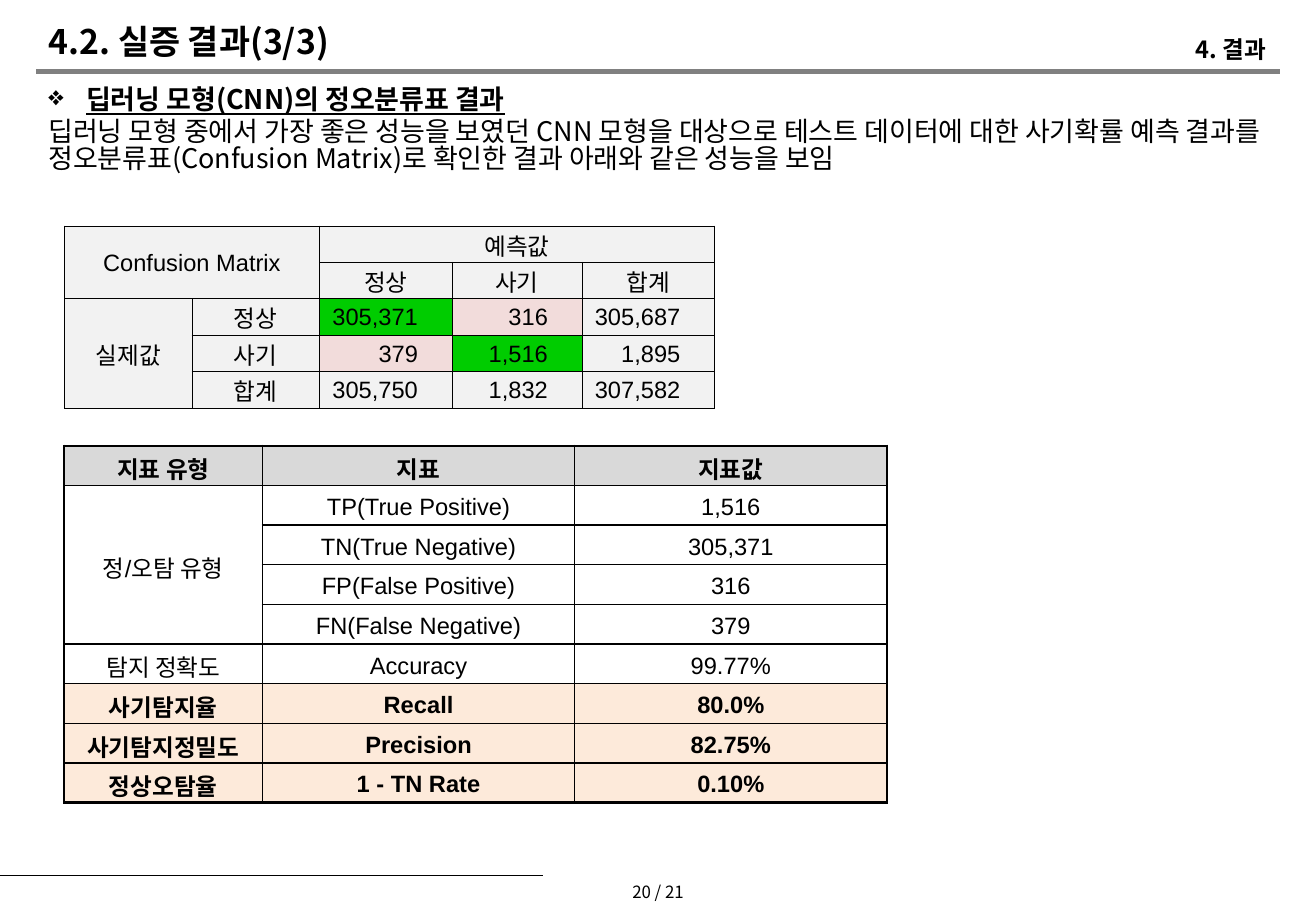
from dataclasses import dataclass

from lxml.etree import SubElement
from pptx import Presentation
from pptx.dml.color import RGBColor
from pptx.enum.shapes import MSO_CONNECTOR
from pptx.enum.text import MSO_ANCHOR, PP_ALIGN
from pptx.oxml import parse_xml
from pptx.oxml.ns import nsdecls, qn
from pptx.util import Inches, Pt


@dataclass(frozen=True)
class Theme:
    ink: str = "000000"
    rule: str = "808080"
    label: str = "F2F2F2"
    correct: str = "00CC00"
    wrong: str = "F2DCDB"
    header: str = "D9D9D9"
    highlight: str = "FDEADA"
    korean: str = "Noto Sans CJK KR"
    latin: str = "Arial"
    title: int = 20
    body: int = 16
    cell: int = 14
    page: int = 10
    leading: float = 0.82


THEME = Theme()

MATRIX_COLUMNS = [1.05, 1.05, 1.09, 1.07, 1.09]
MATRIX_MERGES = [(0, 0, 1, 1), (0, 2, 0, 4), (2, 0, 4, 0)]
MATRIX = [
    ["Confusion Matrix", "", "예측값", "", ""],
    ["", "", "정상", "사기", "합계"],
    ["실제값", "정상", "305,371", "316", "305,687"],
    ["", "사기", "379", "1,516", "1,895"],
    ["", "합계", "305,750", "1,832", "307,582"],
]
MATRIX_FILLS = {
    (2, 2): THEME.correct, (3, 3): THEME.correct,
    (2, 3): THEME.wrong, (3, 2): THEME.wrong,
}

METRIC_COLUMNS = [1.63, 2.57, 2.57]
METRICS = [
    ["지표 유형", "지표", "지표값"],
    ["정/오탐 유형", "TP(True Positive)", "1,516"],
    ["", "TN(True Negative)", "305,371"],
    ["", "FP(False Positive)", "316"],
    ["", "FN(False Negative)", "379"],
    ["탐지 정확도", "Accuracy", "99.77%"],
    ["사기탐지율", "Recall", "80.0%"],
    ["사기탐지정밀도", "Precision", "82.75%"],
    ["정상오탐율", "1 - TN Rate", "0.10%"],
]
FIRST_HIGHLIGHT = 6


def write(paragraph, text, size, latin=THEME.korean, bold=False, underline=False,
          align=PP_ALIGN.LEFT, leading=THEME.leading, before=0, bullet=None):
    paragraph.alignment = align
    paragraph.line_spacing = leading
    paragraph.space_before = Pt(before)
    if bullet:
        properties = paragraph._p.get_or_add_pPr()
        properties.set("marL", str(Inches(0.31)))
        properties.set("indent", str(Inches(-0.31)))
        SubElement(properties, qn("a:buChar")).set("char", bullet)
    run = paragraph.add_run()
    run.text = text
    font = run.font
    font.size, font.name = Pt(size), latin
    font.bold, font.underline = bold, underline
    font.color.rgb = RGBColor.from_string(THEME.ink)
    SubElement(run._r.get_or_add_rPr(), qn("a:ea")).set("typeface", THEME.korean)


def add_text_frame(slide, box, wrap=True):
    frame = slide.shapes.add_textbox(*map(Inches, box)).text_frame
    frame.word_wrap = wrap
    return frame


def add_rule(slide, left, top, width, color, weight):
    rule = slide.shapes.add_connector(
        MSO_CONNECTOR.STRAIGHT, Inches(left), Inches(top), Inches(left + width), Inches(top))
    rule.line.color.rgb = RGBColor.from_string(color)
    rule.line.width = Pt(weight)
    SubElement(rule._element.spPr, qn("a:effectLst"))


def set_borders(cell, weights):
    properties = cell._tc.get_or_add_tcPr()
    for index, (side, weight) in enumerate(zip("LRTB", weights)):
        properties.insert(index, parse_xml(
            f'<a:ln{side} {nsdecls("a")} w="{Pt(weight)}"><a:solidFill>'
            f'<a:srgbClr val="{THEME.ink}"/></a:solidFill></a:ln{side}>'))


def add_grid(slide, box, rows, columns, merges, format_cell):
    left, top, width, height = map(Inches, box)
    table = slide.shapes.add_table(
        len(rows), len(columns), left, top, width, height).table
    table.first_row = table.horz_banding = False
    for column, column_width in zip(table.columns, columns):
        column.width = Inches(column_width)
    for r, row in enumerate(rows):
        for c, text in enumerate(row):
            cell = table.cell(r, c)
            cell.vertical_anchor = MSO_ANCHOR.MIDDLE
            cell.margin_top = cell.margin_bottom = 0
            format_cell(cell, r, c, text)
    for r1, c1, r2, c2 in merges:
        table.cell(r1, c1).merge(table.cell(r2, c2))


def format_matrix_cell(cell, r, c, text):
    is_count = r >= 2 and c >= 2
    cell.margin_left = cell.margin_top = Inches(0.01)
    cell.margin_right = Inches(0.28 if is_count else 0.01)
    cell.fill.solid()
    cell.fill.fore_color.rgb = RGBColor.from_string(MATRIX_FILLS.get((r, c), THEME.label))
    set_borders(cell, [0.5] * 4)
    if text:
        write(cell.text_frame.paragraphs[0], text, THEME.cell, latin=THEME.latin, leading=1.0,
              align=PP_ALIGN.RIGHT if is_count else PP_ALIGN.CENTER)


def format_metric_cell(cell, r, c, text):
    cell.margin_left = cell.margin_right = Inches(0.07)
    fill = THEME.header if r == 0 else THEME.highlight if r >= FIRST_HIGHLIGHT else None
    if fill:
        cell.fill.solid()
        cell.fill.fore_color.rgb = RGBColor.from_string(fill)
    else:
        cell.fill.background()
    outer = [c == 0, c == len(METRIC_COLUMNS) - 1, r == 0, r == len(METRICS) - 1]
    set_borders(cell, [1.5 if edge else 1 for edge in outer])
    if text:
        write(cell.text_frame.paragraphs[0], text, THEME.cell, latin=THEME.latin,
              leading=1.15, bold=fill is not None, align=PP_ALIGN.CENTER)


def add_header(slide, box):
    left, top, width, height = box
    title = slide.shapes.title
    title.left, title.top = Inches(left), Inches(top)
    title.width, title.height = Inches(4.34), Inches(0.37)
    title.text_frame.vertical_anchor = MSO_ANCHOR.MIDDLE
    write(title.text_frame.paragraphs[0], "4.2. 실증 결과(3/3)", THEME.title, bold=True)
    section = add_text_frame(slide, (left + width - 3.63, top + 0.1, 3.62, 0.28))
    write(section.paragraphs[0], "4. 결과", THEME.cell, bold=True, align=PP_ALIGN.RIGHT)
    add_rule(slide, left, top + height, width, THEME.rule, 3)


def add_summary(slide, box):
    summary = add_text_frame(slide, box)
    write(summary.paragraphs[0], "딥러닝 모형(CNN)의 정오분류표 결과", THEME.body,
          bold=True, underline=True, bullet="❖")
    write(summary.add_paragraph(),
          "딥러닝 모형 중에서 가장 좋은 성능을 보였던 CNN 모형을 대상으로 테스트 데이터에 대한 "
          "사기확률 예측 결과를 정오분류표(Confusion Matrix)로 확인한 결과 아래와 같은 성능을 보임",
          THEME.body, before=3.2)


def add_footer(slide, box):
    left, top, width, height = box
    add_rule(slide, left, top, 4.47, THEME.ink, 0.75)
    page = add_text_frame(slide, (left + (width - 0.73) / 2, top + 0.03, 0.73, height - 0.03),
                          wrap=False)
    write(page.paragraphs[0], "20 / 21", THEME.page, align=PP_ALIGN.CENTER)


def main():
    presentation = Presentation()
    presentation.slide_width, presentation.slide_height = Inches(10.83), Inches(7.5)
    slide = presentation.slides.add_slide(presentation.slide_layouts[5])
    add_header(slide, (0.3, 0.18, 10.23, 0.41))
    add_summary(slide, (0.3, 0.68, 10.23, 0.71))
    add_grid(slide, (0.53, 1.86, 5.35, 1.5), MATRIX, MATRIX_COLUMNS,
             MATRIX_MERGES, format_matrix_cell)
    add_grid(slide, (0.53, 3.67, 6.77, 2.94), METRICS, METRIC_COLUMNS,
             [(1, 0, 4, 0)], format_metric_cell)
    add_footer(slide, (0, 7.21, 10.83, 0.29))
    presentation.save("out.pptx")


if __name__ == "__main__":
    main()
